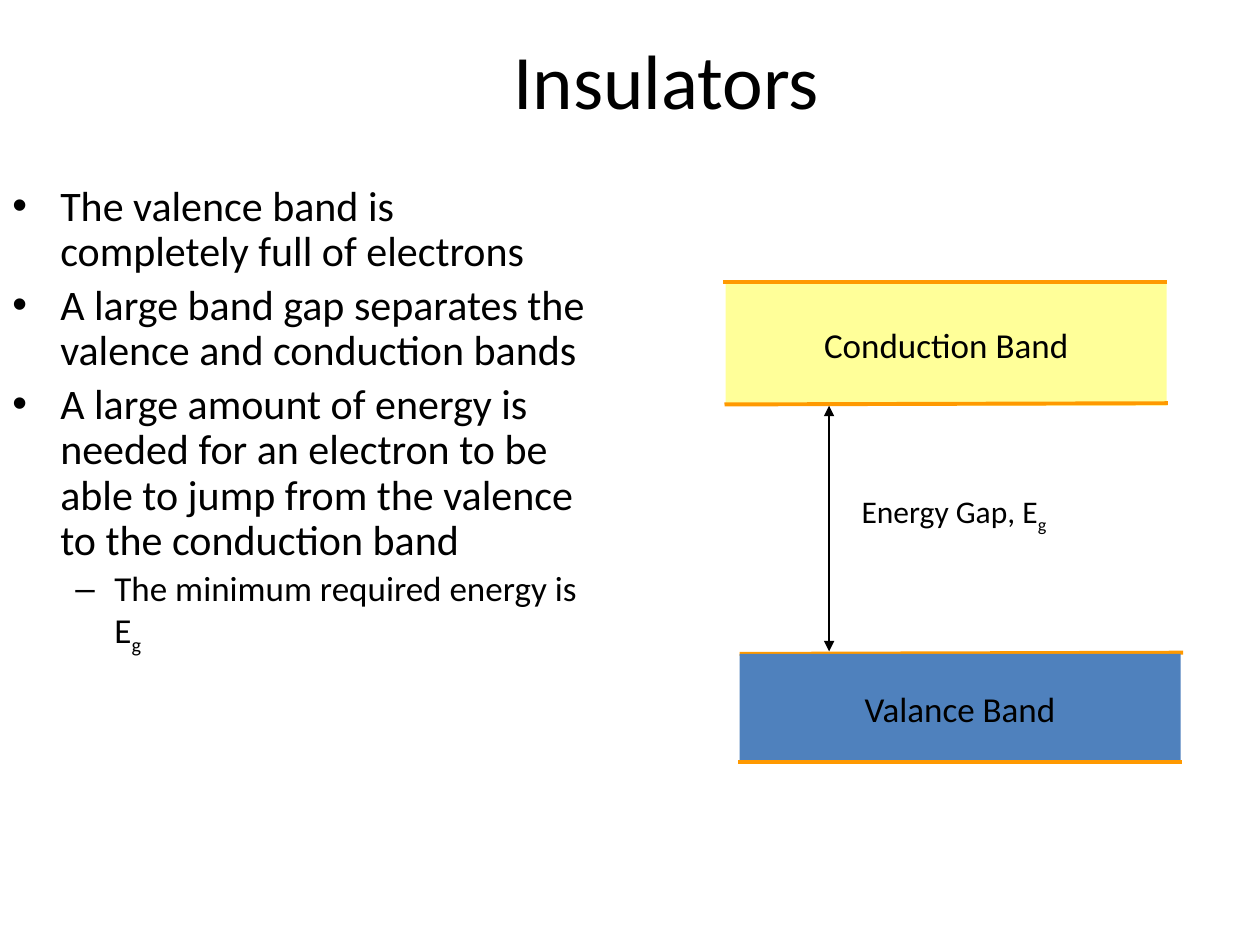
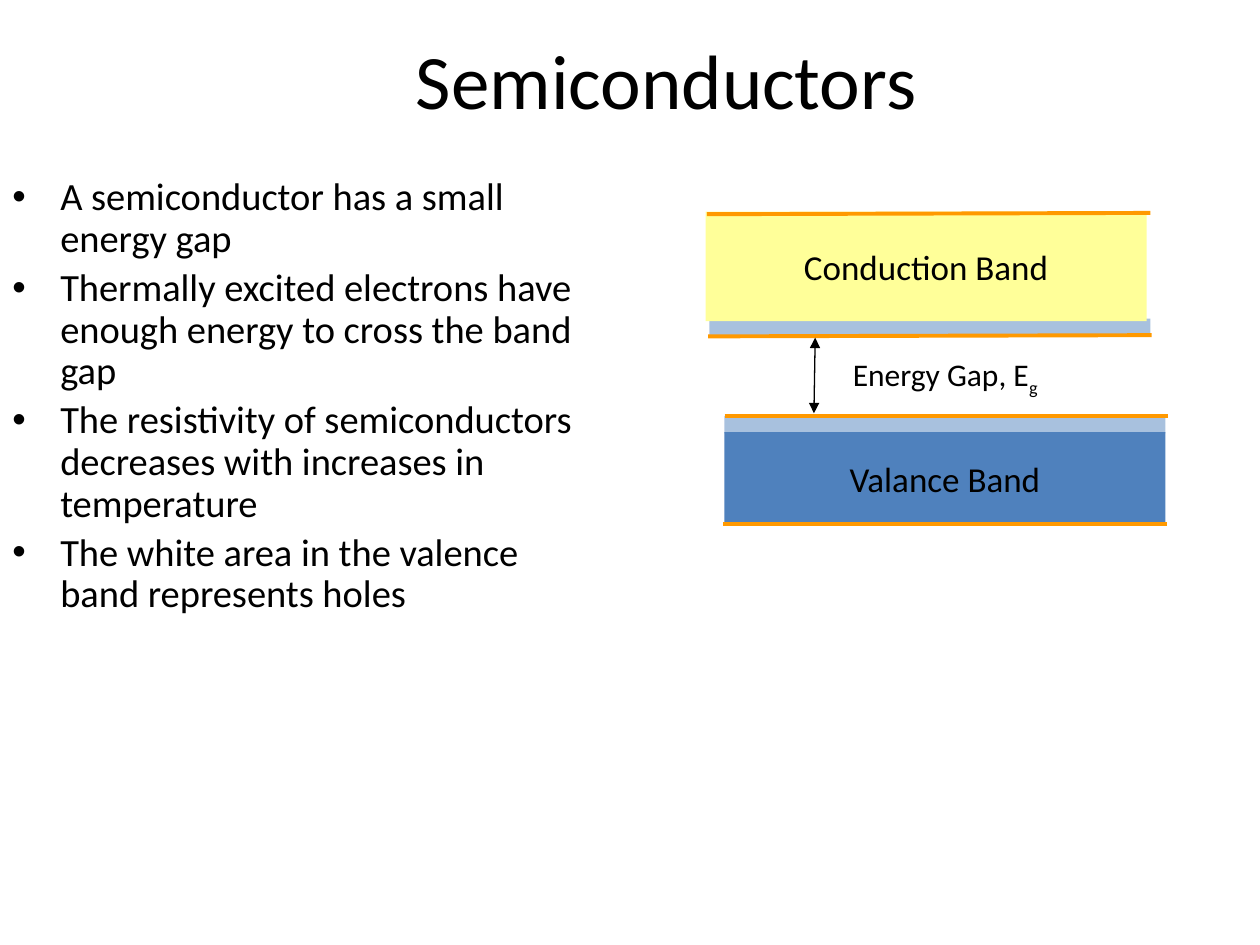
from pptx import Presentation
from pptx.dml.color import RGBColor
from pptx.enum.shapes import MSO_CONNECTOR, MSO_SHAPE
from pptx.enum.text import MSO_ANCHOR, PP_ALIGN
from pptx.oxml.ns import qn
from pptx.util import Inches, Pt
from lxml.etree import SubElement

BLACK = RGBColor(0x00, 0x00, 0x00)
YELLOW = RGBColor(0xFF, 0xFF, 0x99)
BLUE = RGBColor(0x4F, 0x81, 0xBD)
ORANGE = RGBColor(0xFF, 0x99, 0x00)
FONT = "Calibri"

deck = Presentation()
deck.slide_width, deck.slide_height = Inches(10), Inches(7.5)
COL = deck.slide_width / 100
ROW = deck.slide_height / 75
BAND_WIDTH, EDGE_WIDTH, TINT_HEIGHT = 35, 35.2, 1.4
BULLETS = [("•", 0.38, 0.38), ("–", 0.81, 0.31)]

TOPICS = [
    {
        "title": "Insulators",
        "points": [
            (0, 24, "The valence band is completely full of electrons"),
            (0, 24, "A large band gap separates the valence and conduction bands"),
            (0, 24, "A large amount of energy is needed for an electron to be able "
                    "to jump from the valence to the conduction band"),
            (1, 20, "The minimum required energy is E_g"),
        ],
        "points_area": (14.2, 47.9),
        "tints": [],
        "conduction": (57.6, 22.4, 9.8),
        "valence": (58.7, 51.9, 8.6),
        "inner_edges": [(58.7, 51.9, 51.8), (57.5, 32.1, 32)],
        "outer_edges": [(58.6, 60.5, 60.5), (57.4, 22.4, 22.4)],
        "gap_arrow": (65.8, 32.2, 65.8, 51.7),
        "gap_label": (67.4, 38.6),
    },
    {
        "title": "Semiconductors",
        "points": [
            (0, 22, "A semiconductor has a small energy gap"),
            (0, 22, "Thermally excited electrons have enough energy to cross the band gap"),
            (0, 22, "The resistivity of semiconductors decreases with increases in temperature"),
            (0, 22, "The white area in the valence band represents holes"),
        ],
        "points_area": (13.6, 47.1),
        "tints": [(57.5, 33), (56.3, 25.3)],
        "conduction": (56, 16.8, 8.7),
        "valence": (57.5, 34.3, 7.4),
        "inner_edges": [(57.5, 33, 33), (56.2, 26.7, 26.6)],
        "outer_edges": [(57.4, 41.6, 41.6), (56.1, 17, 16.9)],
        "gap_arrow": (64.7, 26.8, 64.6, 32.8),
        "gap_label": (66.7, 27.7),
    },
]


def write(paragraph, words, size):
    for index, part in enumerate(words.split("_")):
        run = paragraph.add_run()
        run.text = part
        run.font.name, run.font.size = FONT, Pt(size)
        run.font.color.rgb = BLACK
        if index:
            run.font._element.set("baseline", "-25000")


def draw_line(slide, x1, y1, x2, y2, color, width):
    line = slide.shapes.add_connector(
        MSO_CONNECTOR.STRAIGHT, int(x1 * COL), int(y1 * ROW), int(x2 * COL), int(y2 * ROW))
    line.line.color.rgb = color
    line.line.width = Pt(width)
    SubElement(line._element.spPr, qn("a:effectLst"))
    return line


for topic in TOPICS:
    slide = deck.slides.add_slide(deck.slide_layouts[6])

    title = slide.shapes.add_textbox(
        int(17.5 * COL), 0, int(70.8 * COL), int(12.5 * ROW)).text_frame
    title.word_wrap = True
    title.vertical_anchor = MSO_ANCHOR.MIDDLE
    title.paragraphs[0].alignment = PP_ALIGN.CENTER
    write(title.paragraphs[0], topic["title"], 44)

    top, width = topic["points_area"]
    points = slide.shapes.add_textbox(
        0, int(top * ROW), int(width * COL), int(45 * ROW)).text_frame
    points.word_wrap = True
    for index, (level, size, words) in enumerate(topic["points"]):
        point = points.add_paragraph() if index else points.paragraphs[0]
        point.level = level
        point.line_spacing = 0.9
        point.space_before = Pt(0.2 * size)
        mark, margin, hanging = BULLETS[level]
        properties = point._p.get_or_add_pPr()
        properties.set("marL", str(Inches(margin)))
        properties.set("indent", str(-Inches(hanging)))
        SubElement(properties, qn("a:buFont"), typeface="Arial")
        SubElement(properties, qn("a:buChar"), char=mark)
        write(point, words, size)

    for left, top in topic["tints"]:
        tint = slide.shapes.add_shape(
            MSO_SHAPE.RECTANGLE, int(left * COL), int(top * ROW),
            int(BAND_WIDTH * COL), int(TINT_HEIGHT * ROW))
        tint.shadow.inherit = False
        tint.line.fill.background()
        tint.fill.solid()
        tint.fill.fore_color.rgb = BLUE
        color = tint._element.spPr.find(qn("a:solidFill"))[0]
        SubElement(color, qn("a:alpha"), val="49000")

    for place, words, color, edges in [
        ("conduction", "Conduction Band", YELLOW, "inner_edges"),
        ("valence", "Valance Band", BLUE, "outer_edges"),
    ]:
        left, top, height = topic[place]
        band = slide.shapes.add_shape(
            MSO_SHAPE.RECTANGLE, int(left * COL), int(top * ROW),
            int(BAND_WIDTH * COL), int(height * ROW))
        band.shadow.inherit = False
        band.line.fill.background()
        band.fill.solid()
        band.fill.fore_color.rgb = color
        band.text_frame.word_wrap = False
        band.text_frame.vertical_anchor = MSO_ANCHOR.MIDDLE
        band.text_frame.paragraphs[0].alignment = PP_ALIGN.CENTER
        write(band.text_frame.paragraphs[0], words, 20)
        for left, start, end in topic[edges]:
            draw_line(slide, left, start, left + EDGE_WIDTH, end, ORANGE, 2.25)

    gap_arrow = draw_line(slide, *topic["gap_arrow"], BLACK, 0.75)
    for tip in ("a:headEnd", "a:tailEnd"):
        SubElement(gap_arrow.line._get_or_add_ln(), qn(tip), type="triangle")

    left, top = topic["gap_label"]
    gap_label = slide.shapes.add_textbox(
        int(left * COL), int(top * ROW), int(17.4 * COL), int(3.7 * ROW)).text_frame
    gap_label.word_wrap = False
    write(gap_label.paragraphs[0], "Energy Gap, E_g", 18)

deck.save("out.pptx")
